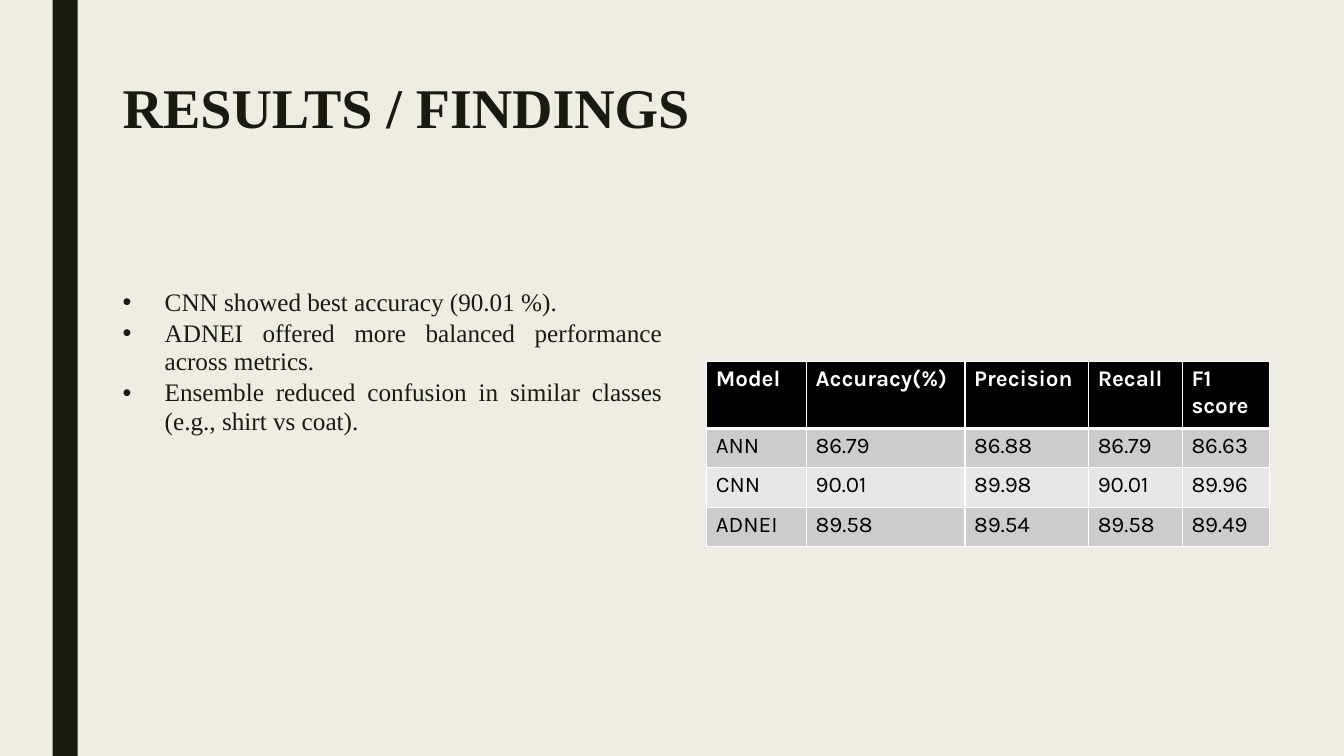
from lxml.etree import SubElement
from pptx import Presentation
from pptx.dml.color import RGBColor
from pptx.enum.shapes import MSO_SHAPE
from pptx.enum.text import MSO_ANCHOR, PP_ALIGN
from pptx.oxml.ns import qn
from pptx.util import Pt

HUE = {"paper": "EFEDE3", "ink": "191B0E", "head": "000000", "white": "FFFFFF",
       "odd": "CCCCCC", "even": "E7E7E7"}
SERIF, SANS = "Times New Roman", "Karla"


def rgb(name):
    return RGBColor.from_string(HUE[name])


def write(para, text, size=18, font=SERIF, hue="ink", bold=False,
          align=PP_ALIGN.LEFT, line=1.0, after=0, hang=0):
    para.alignment = align
    para.line_spacing = line
    para.space_after = Pt(after)
    run = para.add_run()
    run.text = text
    run.font.size = Pt(size)
    run.font.name = font
    run.font.bold = bold
    run.font.color.rgb = rgb(hue)
    if hang:
        props = para._p.get_or_add_pPr()
        props.set("marL", str(Pt(hang)))
        props.set("indent", str(Pt(-hang)))
        SubElement(props, qn("a:buFont"), typeface="Arial")
        SubElement(props, qn("a:buChar"), char="•")


class Deck:
    def __init__(self, wide, high):
        self.show = Presentation()
        self.show.slide_width = Pt(wide)
        self.show.slide_height = Pt(high)
        self.slide = self.show.slides.add_slide(self.show.slide_layouts[6])
        fill = self.slide.background.fill
        fill.solid()
        fill.fore_color.rgb = rgb("paper")

    def bar(self, *place, hue="ink"):
        shape = self.slide.shapes.add_shape(MSO_SHAPE.RECTANGLE, *map(Pt, place))
        shape.shadow.inherit = False
        shape.fill.solid()
        shape.fill.fore_color.rgb = rgb(hue)
        shape.line.fill.background()

    def text(self, lines, *place, top=3.6, **style):
        frame = self.slide.shapes.add_textbox(*map(Pt, place)).text_frame
        frame.word_wrap = True
        frame.vertical_anchor = MSO_ANCHOR.TOP
        frame.margin_top = Pt(top)
        for i, line in enumerate(lines):
            para = frame.add_paragraph() if i else frame.paragraphs[0]
            write(para, line, **style)

    def edge(self, cell, low):
        props = cell._tc.get_or_add_tcPr()
        for i, (side, width) in enumerate(zip("LRTB", (1, 1, 1, low))):
            line = props.makeelement(qn(f"a:ln{side}"), {"w": str(Pt(width))})
            fill = SubElement(line, qn("a:solidFill"))
            SubElement(fill, qn("a:srgbClr"), val=HUE["white"])
            props.insert(i, line)

    def table(self, data, left, top, cols, rows):
        grid = self.slide.shapes.add_table(
            len(rows), len(cols), Pt(left), Pt(top),
            Pt(sum(cols)), Pt(sum(rows))).table
        for col, width in zip(grid.columns, cols):
            col.width = Pt(width)
        for row, high in zip(grid.rows, rows):
            row.height = Pt(high)
        for r, items in enumerate(data):
            head = r == 0
            for c, item in enumerate(items):
                cell = grid.cell(r, c)
                cell.margin_left = cell.margin_right = Pt(6.6)
                cell.margin_top = cell.margin_bottom = Pt(3.2)
                cell.fill.solid()
                cell.fill.fore_color.rgb = rgb(
                    "head" if head else "odd" if r % 2 else "even")
                self.edge(cell, 3 if head else 1)
                write(cell.text_frame.paragraphs[0], item, size=16, font=SANS,
                      hue="white" if head else "head", bold=head)


def main():
    deck = Deck(960, 540)

    # Title and side bar
    deck.text(["RESULTS / FINDINGS"], 80.6, 54, 826.6, 116.6,
              size=40, bold=True, line=0.89)
    deck.bar(37.5, 0, 18, 540)

    # Findings
    deck.text(["CNN showed best accuracy (90.01 %).",
               "ADNEI offered more balanced performance across metrics.",
               "Ensemble reduced confusion in similar classes (e.g., shirt vs coat)."],
              80.6, 180, 399.6, 282, top=26, align=PP_ALIGN.JUSTIFY,
              line=0.94, after=2, hang=30)

    # Scores of each model
    deck.table([["Model", "Accuracy(%)", "Precision", "Recall", "F1 score"],
                ["ANN", "86.79", "86.88", "86.79", "86.63"],
                ["CNN", "90.01", "89.98", "90.01", "89.96"],
                ["ADNEI", "89.58", "89.54", "89.58", "89.49"]],
               504.8, 258.5, [71.3, 113.2, 88.3, 67, 62.4], [47.5] + [28.2] * 3)

    deck.show.save("out.pptx")


if __name__ == "__main__":
    main()
